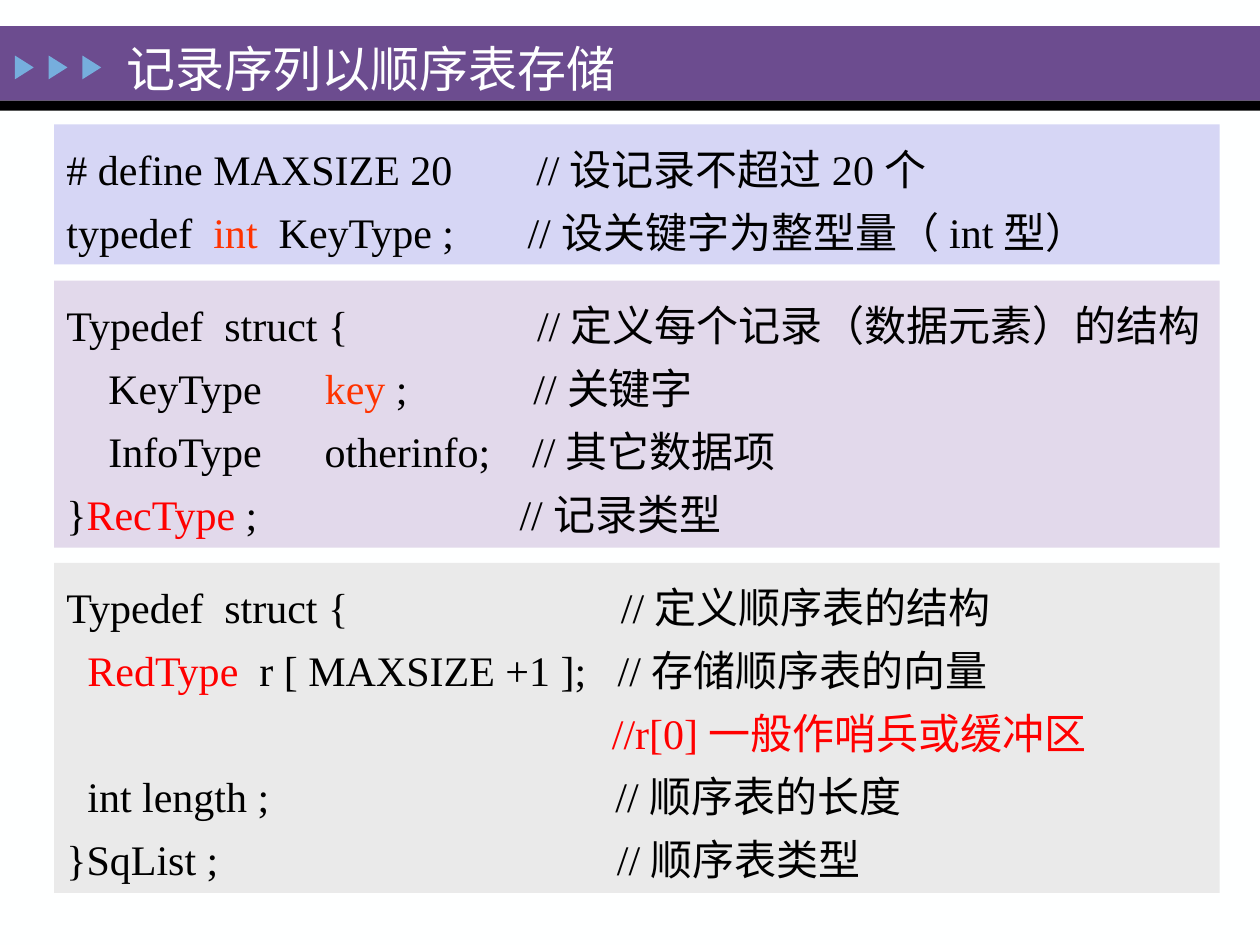
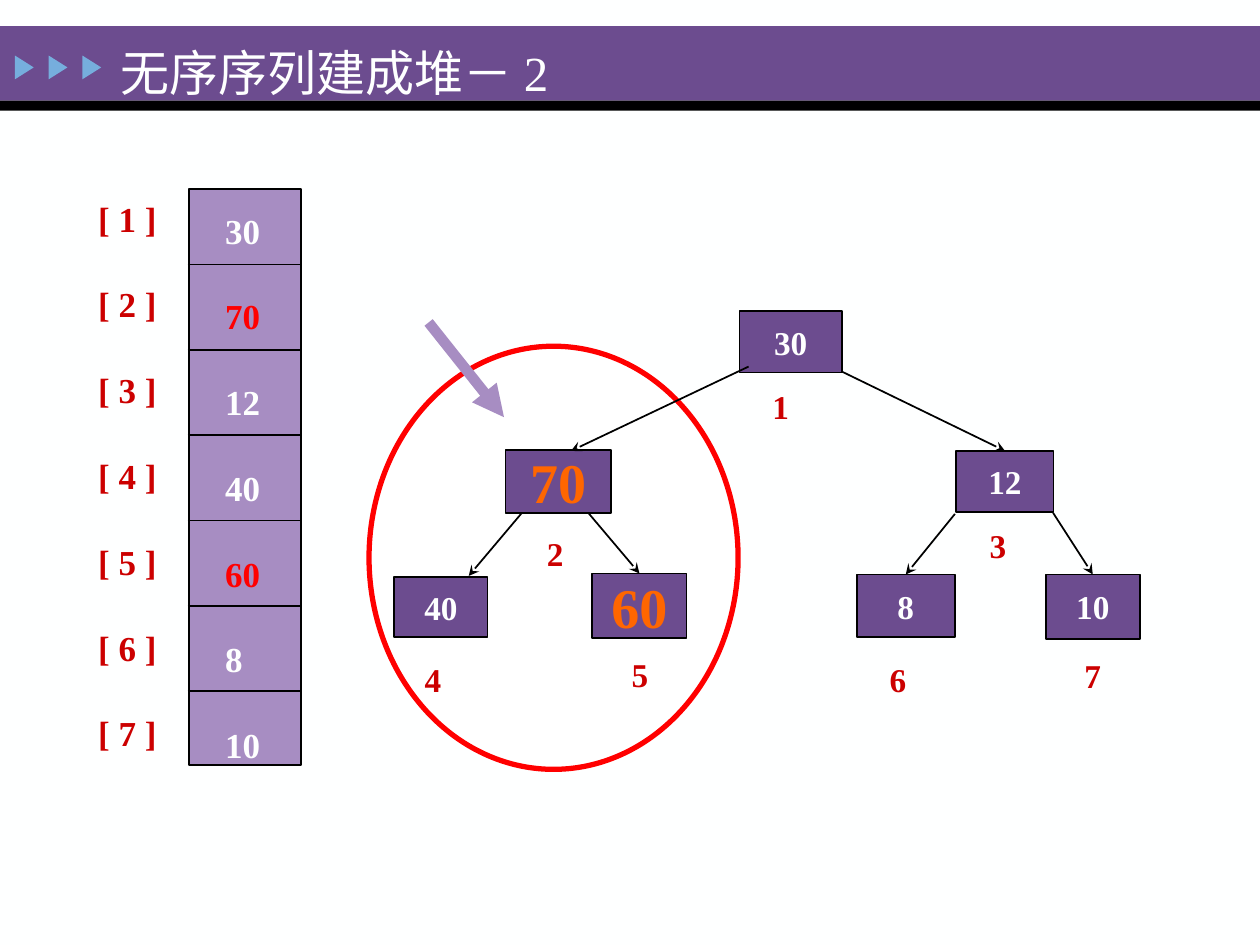
"""Build two slides on sequential record storage and heap construction."""
from pptx import Presentation
from pptx.dml.color import RGBColor
from pptx.enum.shapes import MSO_CONNECTOR, MSO_SHAPE
from pptx.enum.text import MSO_ANCHOR, MSO_AUTO_SIZE, PP_ALIGN
from pptx.oxml.ns import qn
from pptx.util import Cm, Pt
from lxml.etree import SubElement

FONT = "Times New Roman"
PAPER = RGBColor(0xFE, 0xFF, 0xFF)
WHITE = RGBColor(0xFF, 0xFF, 0xFF)
BLACK = RGBColor(0x00, 0x00, 0x00)
PURPLE = RGBColor(0x6C, 0x4C, 0x8F)
LILAC = RGBColor(0xA7, 0x8D, 0xC2)
SKY = RGBColor(0x76, 0xAE, 0xDD)
RED = RGBColor(0xFF, 0x00, 0x00)
VERMILION = RGBColor(0xFF, 0x33, 0x00)
ORANGE = RGBColor(0xFF, 0x66, 0x00)
CRIMSON = RGBColor(0xCC, 0x00, 0x00)
PALE_BLUE = RGBColor(0xD6, 0xD6, 0xF5)
PALE_PURPLE = RGBColor(0xE2, 0xD9, 0xEB)
PALE_GRAY = RGBColor(0xEA, 0xEA, 0xEA)


def add_block(s, kind, box, fill, line=None, width=1):
    sp = s.shapes.add_shape(kind, *[Cm(v) for v in box])
    sp.shadow.inherit = False
    sp.fill.solid()
    sp.fill.fore_color.rgb = fill
    if line is None:
        sp.line.fill.background()
    else:
        sp.line.color.rgb = line
        sp.line.width = Pt(width)
    return sp


def add_line(s, start, end, color=BLACK, width=1, arrow=None):
    line = s.shapes.add_connector(MSO_CONNECTOR.STRAIGHT, *[Cm(v) for v in (*start, *end)])
    line.line.color.rgb = color
    line.line.width = Pt(width)
    if arrow:
        SubElement(line.line._get_or_add_ln(), qn("a:tailEnd"), type=arrow)
    SubElement(line.element.spPr, qn("a:effectLst"))
    return line


prs = Presentation()
prs.slide_width, prs.slide_height = Cm(25.4), Cm(19.05)
prs.slide_master.background.fill.solid()
prs.slide_master.background.fill.fore_color.rgb = PAPER
layout = prs.slide_layouts[5]
for ph in list(layout.placeholders):
    if ph.placeholder_format.idx >= 10:
        ph.element.getparent().remove(ph.element)

titles = [("记录序列以顺序表存储", 2.29, 0.64), ("无序序列建成堆－2", 2.18, 0.72)]
for text, left, top in titles:
    s = prs.slides.add_slide(layout)
    sp = s.shapes.title
    sp.left, sp.top, sp.width, sp.height = Cm(left), Cm(top), Cm(12.5), Cm(1.45)
    tf = sp.text_frame
    tf.text = text
    tf.auto_size = MSO_AUTO_SIZE.NONE
    tf.vertical_anchor = MSO_ANCHOR.TOP
    p = tf.paragraphs[0]
    p.alignment = PP_ALIGN.LEFT
    font = p.runs[0].font
    font.name, font.size, font.color.rgb = FONT, Pt(28), PAPER
code_slide, heap_slide = prs.slides

banner = [
    add_block(code_slide, MSO_SHAPE.RECTANGLE, (0, 0.53, 25.4, 1.5), PURPLE),
    add_block(code_slide, MSO_SHAPE.RECTANGLE, (0, 2.03, 25.4, 0.2), BLACK),
]
for i in range(3):
    sp = add_block(code_slide, MSO_SHAPE.ISOSCELES_TRIANGLE, (0.25 + 0.68 * i, 1.17, 0.48, 0.38), SKY)
    sp.rotation = 90
    banner.append(sp)
for sp in banner:
    layout.shapes.element.append(sp.element)

code_blocks = [
    (2.51, 2.82, PALE_BLUE, [
        [("# define MAXSIZE 20        //设记录不超过20个", BLACK)],
        [("typedef  ", BLACK), ("int  ", VERMILION), ("KeyType ;       //设关键字为整型量（int型）", BLACK)],
    ]),
    (5.66, 5.38, PALE_PURPLE, [
        [("Typedef  struct {                  //定义每个记录（数据元素）的结构", BLACK)],
        [("    KeyType      ", BLACK), ("key ", VERMILION), (";            //关键字", BLACK)],
        [("    InfoType      otherinfo;    //其它数据项", BLACK)],
        [("}", BLACK), ("RecType", RED), (" ;                         //记录类型", BLACK)],
    ]),
    (11.35, 6.65, PALE_GRAY, [
        [("Typedef  struct {                          //定义顺序表的结构", BLACK)],
        [("  ", BLACK), ("RedType", RED), ("  r [ MAXSIZE +1 ];   //存储顺序表的向量", BLACK)],
        [("                                                    //r[0]一般作哨兵或缓冲区", RED)],
        [("  int length ;                                 //顺序表的长度", BLACK)],
        [("}SqList ;                                      //顺序表类型", BLACK)],
    ]),
]
for top, height, fill, lines in code_blocks:
    sp = add_block(code_slide, MSO_SHAPE.RECTANGLE, (1.09, top, 23.5, height), fill)
    tf = sp.text_frame
    tf.word_wrap = True
    tf.vertical_anchor = MSO_ANCHOR.TOP
    for i, line in enumerate(lines):
        p = tf.paragraphs[0] if i == 0 else tf.add_paragraph()
        p.alignment = PP_ALIGN.LEFT
        p.line_spacing = 1.25
        for text, color in line:
            r = p.add_run()
            r.text = text
            r.font.name, r.font.size, r.font.color.rgb = FONT, Pt(24), color

s = heap_slide
add_block(s, MSO_SHAPE.OVAL, (7.44, 6.98, 7.44, 8.53), WHITE, RED, 3)
add_block(s, MSO_SHAPE.RECTANGLE, (3.81, 3.81, 2.26, 11.61), LILAC, BLACK)
for i in range(6):
    y = 5.33 + 1.72 * i
    add_line(s, (3.78, y), (6.07, y))

values = [30, 70, 12, 40, 60, 8, 10]
swapped = (70, 60)
columns = [
    (1.73, 3.85, [(f"[ {i} ]", CRIMSON) for i in range(1, 8)]),
    (4.29, 4.09, [(str(v), RED if v in swapped else PAPER) for v in values]),
]
for left, top, entries in columns:
    tf = s.shapes.add_textbox(Cm(left), Cm(top), Cm(1.75), Cm(11.4)).text_frame
    tf.word_wrap = True
    for i, (text, color) in enumerate(entries):
        p = tf.paragraphs[0] if i == 0 else tf.add_paragraph()
        p.text = text
        if i:
            p.space_before = Pt(25)
        font = p.runs[0].font
        font.name, font.size, font.bold, font.color.rgb = FONT, Pt(20), True, color

add_line(s, (8.64, 6.5), (10.16, 8.41), LILAC, 6, "triangle")

node_boxes = [
    (14.91, 6.27, 2.06, 1.24),
    (10.19, 9.07, 2.13, 1.27),
    (19.28, 9.09, 1.96, 1.24),
    (7.95, 11.63, 1.88, 1.22),
    (11.94, 11.56, 1.9, 1.3),
    (17.27, 11.58, 1.98, 1.27),
    (21.08, 11.58, 1.9, 1.3),
]
index_centres = [(15.74, 8.18), (11.19, 11.15), (20.12, 11), (8.73, 13.69),
                 (12.9, 13.59), (18.1, 13.69), (22.03, 13.61)]
nodes = []
for i, (value, box, (x, y)) in enumerate(zip(values, node_boxes, index_centres), 1):
    node = add_block(s, MSO_SHAPE.RECTANGLE, box, PURPLE, BLACK)
    nodes.append(node)
    label = s.shapes.add_textbox(Cm(x - 0.5), Cm(y - 0.5), Cm(1), Cm(1))
    size, color = (32, ORANGE) if value in swapped else (19, PAPER)
    for sp, text, pt, rgb in ((node, value, size, color), (label, i, 19, CRIMSON)):
        tf = sp.text_frame
        tf.margin_left = tf.margin_right = tf.margin_top = tf.margin_bottom = 0
        tf.word_wrap = True
        tf.vertical_anchor = MSO_ANCHOR.MIDDLE
        tf.text = str(text)
        p = tf.paragraphs[0]
        p.alignment = PP_ALIGN.CENTER
        font = p.runs[0].font
        font.name, font.size, font.bold, font.color.rgb = FONT, Pt(pt), True, rgb

edges = [
    (2, (15.09, 7.39), (11.51, 9.09)),
    (3, (16.97, 7.49), (20.19, 9.12)),
    (4, (10.52, 10.34), (9.45, 11.61)),
    (5, (11.86, 10.34), (13.03, 11.48)),
    (6, (19.25, 10.36), (18.29, 11.48)),
    (7, (21.23, 10.34), (22.17, 11.51)),
]
for child, start, end in edges:
    line = add_line(s, start, end, arrow="stealth")
    node = nodes[child - 1]
    if abs(line.end_x - node.left - node.width // 2) < Cm(0.15):
        line.end_connect(node, 0)

prs.save("out.pptx")
